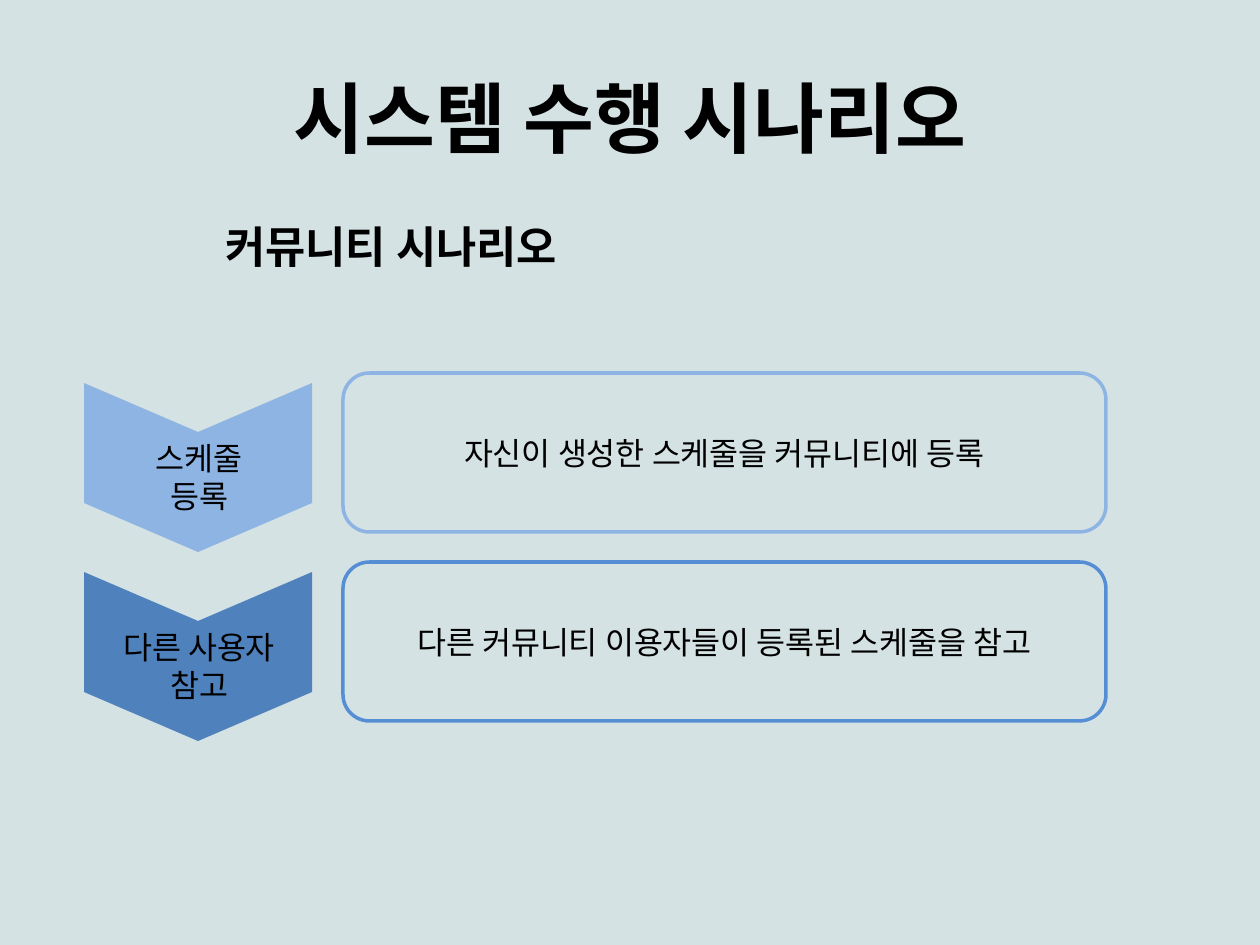
from dataclasses import dataclass

from lxml import etree
from pptx import Presentation
from pptx.dml.color import RGBColor
from pptx.enum.shapes import MSO_SHAPE
from pptx.enum.text import MSO_ANCHOR, PP_ALIGN
from pptx.oxml.ns import qn
from pptx.util import Emu, Pt

CHEVRON, ROUNDED = MSO_SHAPE.CHEVRON, MSO_SHAPE.ROUNDED_RECTANGLE
LEFT, CENTER = PP_ALIGN.LEFT, PP_ALIGN.CENTER
TOP, MIDDLE = MSO_ANCHOR.TOP, MSO_ANCHOR.MIDDLE
TITLE_ONLY = 5


@dataclass(frozen=True)
class Theme:
    font: str = "Noto Sans CJK KR"
    background: str = "D5E2E3"
    text: str = "000000"
    title_size: int = 44
    heading_size: int = 25
    body_size: int = 18
    line_width: int = 2


THEME = Theme()

# Label lines, description, chevron fill, box outline
STEPS = [
    (["스케줄", "등록"], "자신이 생성한 스케줄을 커뮤니티에 등록", "8EB4E3", "8EB4E3"),
    (["다른 사용자", "참고"], "다른 커뮤니티 이용자들이 등록된 스케줄을 참고", "4F81BD", "558ED5"),
]


def px(n):
    return Emu(round(n * 914400 / 126))


def rgb(value):
    return RGBColor.from_string(value)


def write(s, lines, size=THEME.body_size, bold=False, align=CENTER, anchor=MIDDLE, wrap=True):
    tf = s.text_frame
    tf.word_wrap = wrap
    tf.vertical_anchor = anchor
    for i, line in enumerate(lines):
        p = tf.add_paragraph() if i else tf.paragraphs[0]
        p.alignment = align
        r = p.add_run()
        r.text = line
        r.font.name = THEME.font
        r.font.size = Pt(size)
        r.font.bold = bold
        r.font.color.rgb = rgb(THEME.text)
        # Korean glyphs take the East Asian typeface
        etree.SubElement(r.font._element, qn("a:ea"), typeface=THEME.font)


def add_text(slide, x, y, w, h, lines, **fmt):
    s = slide.shapes.add_textbox(px(x), px(y), px(w), px(h))
    write(s, lines, **fmt)


def add_header(slide, x, y, w):
    # Title
    title = slide.shapes.title
    title.left, title.top, title.width, title.height = px(x), px(y), px(w), px(158)
    write(title, ["시스템 수행 시나리오"], size=THEME.title_size, bold=True)
    # Section heading
    add_text(slide, x + 150, y + 176, 407, 66, ["커뮤니티 시나리오"],
             size=THEME.heading_size, bold=True, align=LEFT, anchor=TOP)


def add_step(slide, x, y, w, h, step):
    label, description, fill, outline = step
    # Downward chevron: a right-pointing one turned about its centre
    wide, tall = 228, 169
    shift = (wide - tall) / 2
    s = slide.shapes.add_shape(CHEVRON, px(x + shift), px(y + 10 - shift), px(tall), px(wide))
    s.rotation = 90
    s.adjustments[0] = 0.29
    s.shadow.inherit = False
    s.fill.solid()
    s.fill.fore_color.rgb = rgb(fill)
    s.line.fill.background()
    add_text(slide, x, y + 60, wide + 2, 89, label, anchor=TOP, wrap=False)
    # Description box
    indent = 259
    s = slide.shapes.add_shape(ROUNDED, px(x + indent), px(y), px(w - indent), px(h))
    s.shadow.inherit = False
    s.fill.background()
    s.line.color.rgb = rgb(outline)
    s.line.width = Pt(THEME.line_width)
    write(s, [description])


def add_steps(slide, x, y, w, row_height=159, gap=30):
    for i, step in enumerate(STEPS):
        add_step(slide, x, y + i * (row_height + gap), w, row_height, step)


def main():
    prs = Presentation()
    prs.slide_width, prs.slide_height = px(1260), px(945)
    slide = prs.slides.add_slide(prs.slide_layouts[TITLE_ONLY])
    slide.background.fill.solid()
    slide.background.fill.fore_color.rgb = rgb(THEME.background)
    add_header(slide, 63, 38, 1134)
    add_steps(slide, 84, 373, 1022)
    prs.save("out.pptx")


if __name__ == "__main__":
    main()
